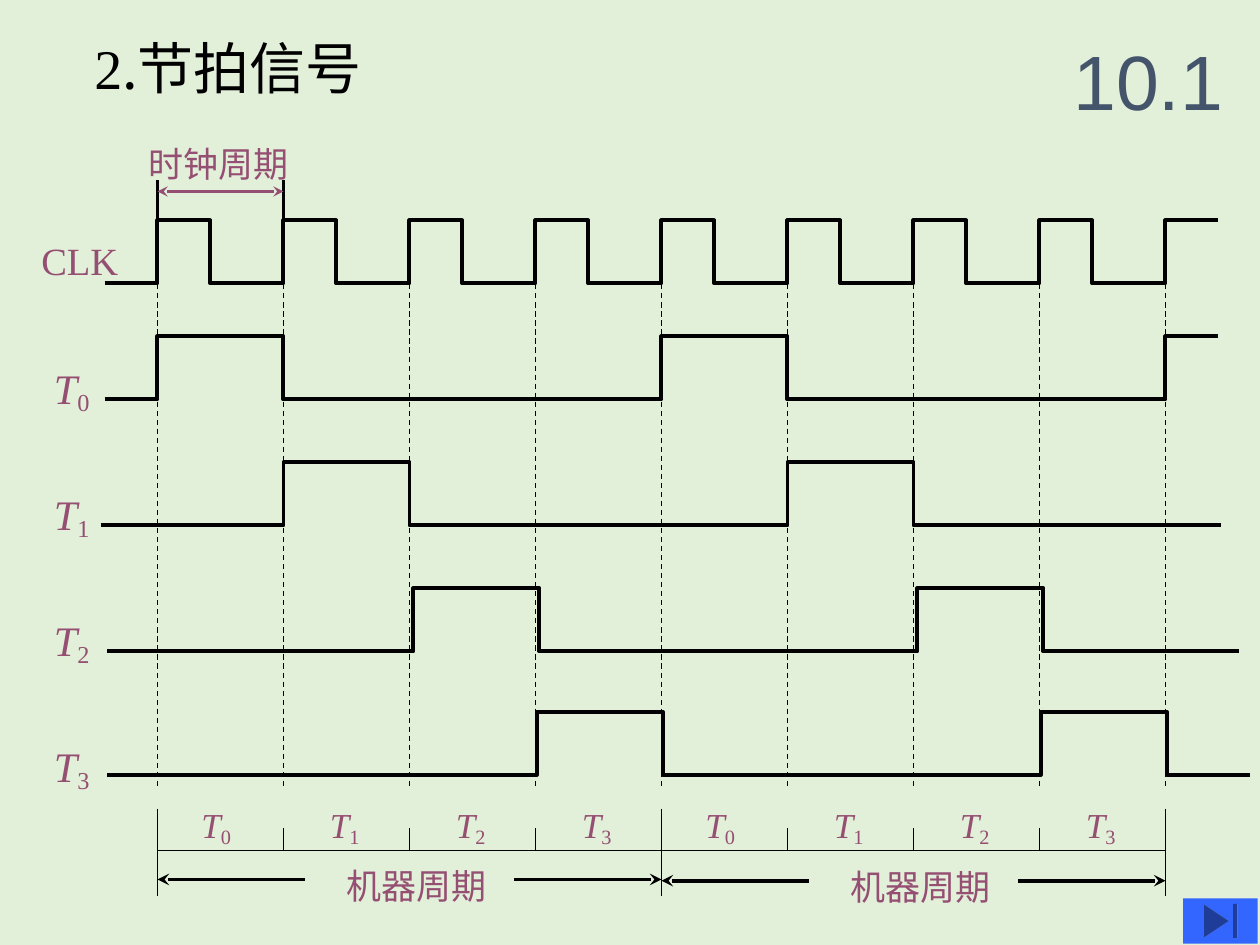
from lxml import etree
from pptx import Presentation
from pptx import util as u
from pptx.dml.color import RGBColor
from pptx.enum import dml, shapes, text
from pptx.oxml.ns import qn

BLACK = RGBColor(0x00, 0x00, 0x00)
PLUM = RGBColor(0x95, 0x4F, 0x72)
SLATE = RGBColor(0x44, 0x54, 0x6A)
BLUE = RGBColor(0x33, 0x66, 0xFF)
MINT = RGBColor(0xE2, 0xF0, 0xD9)
SERIF, SANS, CJK = "Times New Roman", "Arial", "Noto Sans CJK SC"

LEFT, CYCLE = 1.25, 1.0        # first clock edge and clock period
BEATS, PERIODS = 4, 2          # beats per machine cycle, machine cycles shown
CYCLES = BEATS * PERIODS
EDGES = [LEFT + CYCLE * n for n in range(CYCLES + 1)]
SWING = 0.5                    # height of every pulse
LABEL_TOP, ROW = 2.83, 1.0     # first beat label and distance between rows

# low level, start, end, shift of the pulses against the clock edges
BEAT_SIGNALS = [
    (3.17, 0.83, 9.67, 0.00),
    (4.17, 0.80, 9.69, 0.00),
    (5.17, 0.85, 9.83, 0.03),
    (6.15, 0.85, 9.92, 0.01),
]
CLOCK = (2.25, 0.83, 9.67)
CLOCK_HIGH = 0.42
RULER = 6.75                   # axis with the beats below the signals
PERIOD_ARROWS = [6.98, 6.99]
ARROW_LENGTH = 1.17

deck = Presentation()
deck.slide_width, deck.slide_height = u.Inches(10), u.Inches(7.5)
slide = deck.slides.add_slide(deck.slide_layouts[6])
slide.background.fill.solid()
slide.background.fill.fore_color.rgb = MINT


def add_text(left, top, width, height, runs, size, color, wrap=False):
    """Runs are (wording, font) pairs; returns the text frame."""
    box = slide.shapes.add_textbox(*map(u.Inches, (left, top, width, height)))
    frame = box.text_frame
    frame.word_wrap = wrap
    frame.auto_size = text.MSO_AUTO_SIZE.SHAPE_TO_FIT_TEXT
    for wording, face in runs:
        run = frame.paragraphs[0].add_run()
        run.text = wording
        run.font.size, run.font.name = u.Pt(size), face
        run.font.color.rgb = color
        east_asian = etree.SubElement(run.font._element, qn("a:ea"))
        east_asian.set("typeface", CJK)
    return frame


def add_beat(left, top, width, height, beat, size):
    """Italic T with the beat number as subscript."""
    frame = add_text(left, top, width, height,
                     [("T", SERIF), (str(beat), SERIF)], size, PLUM)
    letter, number = frame.paragraphs[0].runs
    letter.font.italic = True
    number.font._element.set("baseline", "-15000")


def add_line(x1, y1, x2, y2, weight=0.75, color=BLACK, dashed=False, arrows=()):
    """Arrows holds "headEnd" (at the start) and/or "tailEnd" (at the end)."""
    line = slide.shapes.add_connector(
        shapes.MSO_CONNECTOR.STRAIGHT, *map(u.Inches, (x1, y1, x2, y2)))
    line.line.width = u.Pt(weight)
    line.line.color.rgb = color
    if dashed:
        line.line.dash_style = dml.MSO_LINE.DASH
    for end in arrows:
        etree.SubElement(line.line._get_or_add_ln(), qn("a:" + end)).set("type", "stealth")
    etree.SubElement(line._element.spPr, qn("a:effectLst"))


def add_wave(low, start, end, pulses):
    """Square wave with (rise, fall) pulses; one falling past the end stays high."""
    high = low - SWING
    points = [(start, low)]
    for rise, fall in pulses:
        points += [(rise, low), (rise, high), (min(fall, end), high)]
        if fall < end:
            points.append((fall, low))
    if points[-1][1] == low:
        points.append((end, low))
    corners = [(u.Inches(x), u.Inches(y)) for x, y in points]
    builder = slide.shapes.build_freeform(*corners[0])
    builder.add_line_segments(corners[1:], close=False)
    wave = builder.convert_to_shape()
    wave.fill.background()
    wave.line.color.rgb, wave.line.width = BLACK, u.Pt(2.25)
    wave.shadow.inherit = False


# Heading
add_text(0.65, 0.22, 3.93, 0.63, [("2", SERIF), (".节拍信号", CJK)], 32, BLACK, wrap=True)
section = add_text(8.42, 0.17, 1.58, 0.92, [("10.1", SANS)], 44, SLATE, wrap=True)
section.auto_size = text.MSO_AUTO_SIZE.NONE
section.vertical_anchor = text.MSO_ANCHOR.MIDDLE

# Signals
for beat, (low, start, end, shift) in enumerate(BEAT_SIGNALS):
    rises = [edge + shift for edge in EDGES[beat::BEATS]]
    add_wave(low, start, end, [(rise, rise + CYCLE) for rise in rises])
    add_beat(0.33, LABEL_TOP + ROW * beat, 0.52, 0.5, beat, 24)
add_text(0.23, 1.83, 0.86, 0.47, [("CLK", SERIF)], 22, PLUM)
add_wave(*CLOCK, [(edge, edge + CLOCK_HIGH) for edge in EDGES])
for edge in EDGES:
    add_line(edge, 1.97, edge, 6.25, dashed=True)

# Clock period
for edge in EDGES[:2]:
    add_line(edge, 1.43, edge, 1.77, 1.5)
add_line(EDGES[0], 1.52, EDGES[1], 1.52, 1.5, PLUM, arrows=("headEnd", "tailEnd"))
add_text(1.08, 1.08, 1.31, 0.43, [("时钟周期", SERIF)], 20, PLUM)

# Beats and machine cycles
add_line(EDGES[0], RULER, EDGES[-1], RULER)
for n, edge in enumerate(EDGES):
    top, bottom = (6.57, RULER) if n % BEATS else (6.42, 7.11)
    add_line(edge, top, edge, bottom)
for n, edge in enumerate(EDGES[:-1]):
    beat = n % BEATS
    add_beat(edge + (0.27 if beat else 0.25), 6.33, 0.46, 0.43, beat, 20)
for first, last, y in zip(EDGES[::BEATS], EDGES[BEATS::BEATS], PERIOD_ARROWS):
    add_line(last - ARROW_LENGTH, y, last, y, 2.25, arrows=("tailEnd",))
    add_line(first + ARROW_LENGTH, y, first, y, 2.25, arrows=("tailEnd",))
    add_text(first + 1.4, y - 0.17, 1.31, 0.43, [("机器周期", SERIF)], 20, PLUM)

# Navigation button
button = slide.shapes.add_shape(shapes.MSO_SHAPE.ACTION_BUTTON_END,
                                *map(u.Inches, (9.39, 7.13, 0.59, 0.36)))
button.fill.solid()
button.fill.fore_color.rgb = BLUE
button.line.fill.background()
button.shadow.inherit = False

deck.save("out.pptx")
